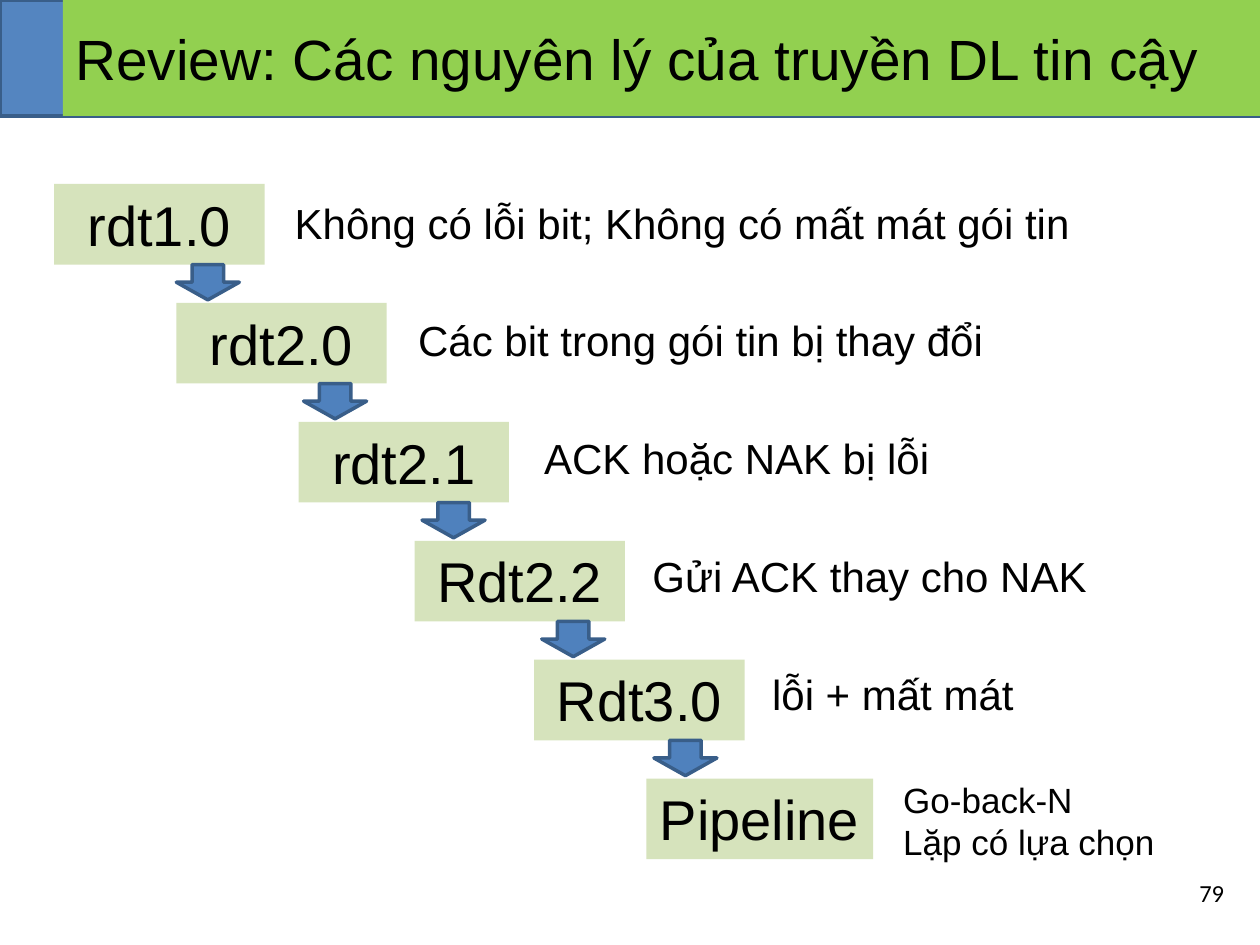
"""Build the slide that reviews the steps of reliable data transfer."""
import pptx
import pptx.util
import pptx.dml.color
import pptx.enum.shapes
import pptx.enum.text

Inches, Pt = pptx.util.Inches, pptx.util.Pt
SHAPE = pptx.enum.shapes.MSO_SHAPE
ALIGN = pptx.enum.text.PP_ALIGN
ANCHOR = pptx.enum.text.MSO_ANCHOR

THEME = {
    "green": "92D050", "side": "5485C0", "step": "D6E3BC", "arrow": "4F81BD",
    "edge": "395E89", "ink": "000000", "font": "Arial", "small": "Calibri",
    "title": 32.4, "name": 32, "note": 24, "list": 20, "page": 14,
}

TITLE = "Review: Các nguyên lý của truyền DL tin cậy"
PAGE = "79"
STEPS = [
    {"name": "rdt1.0", "left": 0.43, "arrow": 1.4,
     "note": "Không có lỗi bit; Không có mất mát gói tin", "at": (2.24, 1.52, 6.42, 0.5)},
    {"name": "rdt2.0", "left": 1.4, "arrow": 2.41,
     "note": "Các bit trong gói tin bị thay đổi", "at": (3.22, 2.45, 4.71, 0.5)},
    {"name": "rdt2.1", "left": 2.37, "arrow": 3.35,
     "note": "ACK hoặc NAK bị lỗi", "at": (4.22, 3.38, 3.29, 0.5)},
    {"name": "Rdt2.2", "left": 3.29, "arrow": 4.3,
     "note": "Gửi ACK thay cho NAK", "at": (5.08, 4.32, 3.98, 0.5), "align": ALIGN.JUSTIFY},
    {"name": "Rdt3.0", "left": 4.24, "arrow": 5.19,
     "note": "lỗi + mất mát", "at": (6.03, 5.26, 3.8, 0.5)},
    {"name": "Pipeline", "left": 5.13, "width": 1.8,
     "note": "Go-back-N\nLặp có lựa chọn", "at": (7.07, 6.13, 2.76, 0.77), "size": "list"},
]
TOP, PITCH, WIDTH, HEIGHT = 1.46, 0.944, 1.67, 0.64
BAR, SIDE = 0.92, 0.5


def tint(key):
    return pptx.dml.color.RGBColor.from_string(THEME[key])


def draw(slide, kind, at, fill, edge=None):
    shape = slide.shapes.add_shape(kind, *map(Inches, at))
    shape.shadow.inherit = False
    shape.fill.solid()
    shape.fill.fore_color.rgb = tint(fill)
    if edge:
        shape.line.color.rgb = tint(edge)
        shape.line.width = Pt(2)
    else:
        shape.line.fill.background()
    return shape


def write(shape, text, size="note", font="font", align=ALIGN.LEFT, anchor=ANCHOR.TOP):
    frame = shape.text_frame
    frame.word_wrap = True
    frame.vertical_anchor = anchor
    frame.text = text
    for para in frame.paragraphs:
        para.alignment = align
        para.font.name = THEME[font]
        para.font.size = Pt(THEME[size])
        para.font.color.rgb = tint("ink")


def main():
    deck = pptx.Presentation()
    deck.slide_width, deck.slide_height = Inches(10), Inches(7.5)
    slide = deck.slides.add_slide(deck.slide_layouts[6])

    draw(slide, SHAPE.RECTANGLE, (0, 0, 10, BAR), "side", "edge")
    head = draw(slide, SHAPE.RECTANGLE, (SIDE, 0, 10 - SIDE, BAR), "green")
    write(head, TITLE, size="title", anchor=ANCHOR.MIDDLE)

    for i, step in enumerate(STEPS):
        top = TOP + i * PITCH
        at = (step["left"], top, step.get("width", WIDTH), HEIGHT)
        box = draw(slide, SHAPE.RECTANGLE, at, "step")
        write(box, step["name"], size="name", align=ALIGN.CENTER)
        note = slide.shapes.add_textbox(*map(Inches, step["at"]))
        write(note, step["note"], size=step.get("size", "note"),
              align=step.get("align", ALIGN.LEFT))

    for i, step in enumerate(STEPS[:-1]):
        low = TOP + i * PITCH + HEIGHT
        draw(slide, SHAPE.DOWN_ARROW, (step["arrow"], low, 0.5, 0.28), "arrow", "edge")

    page = slide.shapes.add_textbox(*map(Inches, (9.42, 6.92, 0.5, 0.4)))
    write(page, PAGE, size="page", font="small")
    deck.save("out.pptx")


if __name__ == "__main__":
    main()
